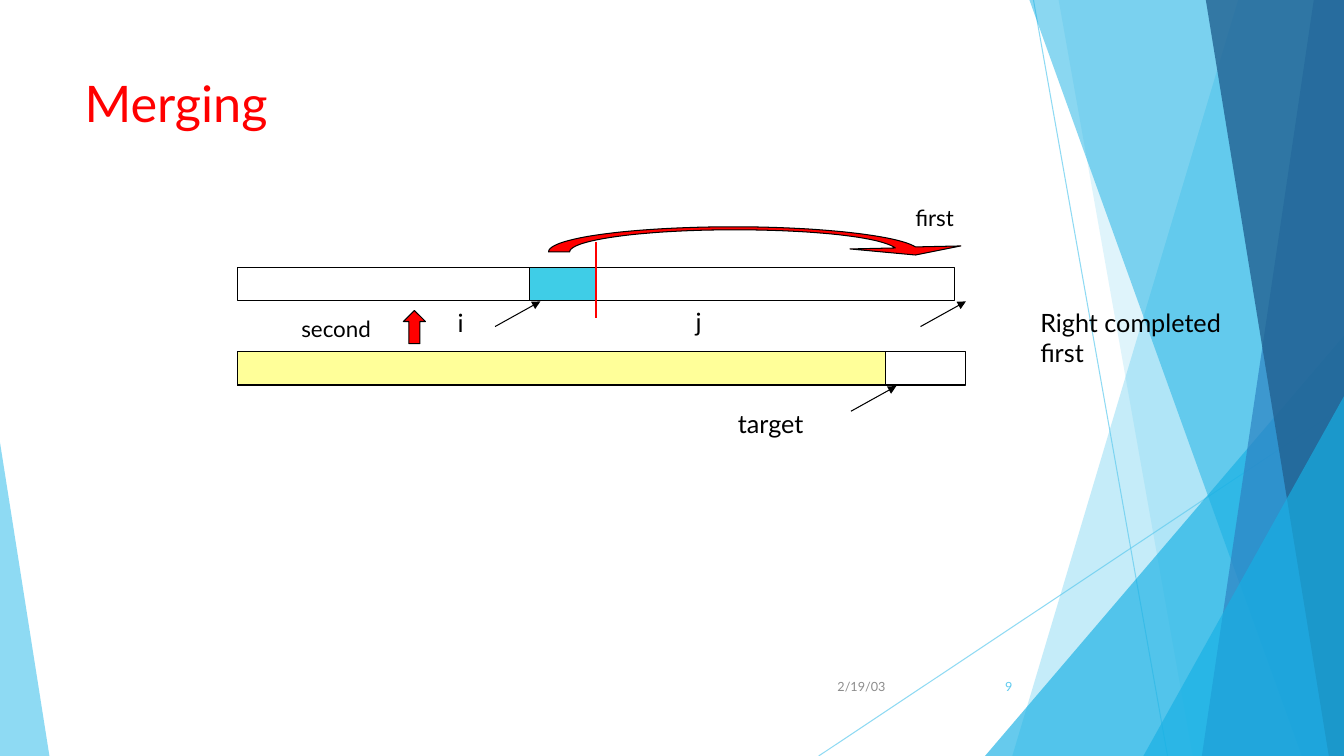
from lxml import etree
from pptx import Presentation, util as u
from pptx.dml.color import RGBColor
from pptx.enum import shapes, text
from pptx.oxml.ns import qn

BLACK = RGBColor(0x00, 0x00, 0x00)
RED = RGBColor(0xFF, 0x00, 0x00)
GREY = RGBColor(0x8C, 0x8C, 0x8C)
SKY = RGBColor(0x5F, 0xCB, 0xEF)
AZURE = RGBColor(0x17, 0xB0, 0xE4)
BLUE = RGBColor(0x2E, 0x83, 0xC3)
NAVY = RGBColor(0x22, 0x62, 0x92)
CYAN = RGBColor(0x3F, 0xCD, 0xE7)
YELLOW = RGBColor(0xFF, 0xFF, 0x99)

COLS, ROWS = 13.33, 7.5
KIND = shapes.MSO_SHAPE


def curve(a, b, c, d, steps=24):
    pts = []
    for n in range(1, steps + 1):
        t = n / steps
        s = 1 - t
        pts.append(tuple(s**3 * p + 3 * s * s * t * q + 3 * s * t * t * r + t**3 * v
                         for p, q, r, v in zip(a, b, c, d)))
    return pts


class Board:
    font = "Lato"
    cell = u.Inches(1)

    def __init__(self):
        self.deck = Presentation()
        self.deck.slide_width = self.grid(COLS)
        self.deck.slide_height = self.grid(ROWS)
        self.slide = self.deck.slides.add_slide(self.deck.slide_layouts[6])
        self.items = self.slide.shapes

    def grid(self, size):
        return u.Emu(round(size * self.cell))

    def fade(self, node, share):
        tint = next(node.iter(qn("a:srgbClr")))
        etree.SubElement(tint, qn("a:alpha"), val=str(share * 1000))

    def paint(self, item, fill, edge, share=100):
        item.shadow.inherit = False
        if fill is None:
            item.fill.background()
        else:
            item.fill.solid()
            item.fill.fore_color.rgb = fill
            if share < 100:
                self.fade(item._element.spPr.find(qn("a:solidFill")), share)
        if edge is None:
            item.line.fill.background()
        else:
            item.line.color.rgb = edge
            item.line.width = u.Pt(0.75)

    def shape(self, kind, box, fill=None, edge=BLACK, share=100, bend=()):
        item = self.items.add_shape(kind, *map(self.grid, box))
        for n, value in enumerate(bend):
            item.adjustments[n] = value
        self.paint(item, fill, edge, share)

    def outline(self, points, fill, edge=None, share=100):
        pts = [(self.grid(x), self.grid(y)) for x, y in points]
        pen = self.items.build_freeform(*pts[0])
        pen.add_line_segments(pts[1:], close=True)
        self.paint(pen.convert_to_shape(), fill, edge, share)

    def line(self, start, end, color=BLACK, width=0.75, share=100, arrow=False):
        item = self.items.add_connector(
            shapes.MSO_CONNECTOR.STRAIGHT, *map(self.grid, start + end))
        item.line.color.rgb = color
        item.line.width = u.Pt(width)
        props = item._element.spPr
        edge = props.find(qn("a:ln"))
        if share < 100:
            self.fade(edge, share)
        if arrow:
            etree.SubElement(edge, qn("a:tailEnd"), type="triangle")
        etree.SubElement(props, qn("a:effectLst"))

    def label(self, words, box, size=18, color=BLACK, right=False, wrap=False):
        frame = self.items.add_textbox(*map(self.grid, box)).text_frame
        frame.word_wrap = wrap
        if right:
            frame.vertical_anchor = text.MSO_ANCHOR.MIDDLE
        frame.text = words
        for para in frame.paragraphs:
            para.alignment = text.PP_ALIGN.RIGHT if right else text.PP_ALIGN.LEFT
            for run in para.runs:
                run.font.name = self.font
                run.font.size = u.Pt(size)
                run.font.color.rgb = color


def facets(board):
    board.line((10.25, 0), (11.58, ROWS), SKY, share=70)
    board.line((COLS, 4.03), (8.12, ROWS), SKY, share=70)

    def band(top, base, fill, share):
        board.outline([(top, 0), (COLS, 0), (COLS, ROWS), (base, ROWS)], fill, share=share)

    def wedge(left, top, width, fill, share, peak):
        board.shape(KIND.ISOSCELES_TRIANGLE, (left, top, width, ROWS - top),
                    fill, None, share, [peak])

    band(12.28, 10.04, SKY, 36)
    band(10.5, 11.83, SKY, 20)
    wedge(9.77, 3.33, 3.56, AZURE, 66, 1)
    band(10.21, 12.91, AZURE, 50)
    band(13.03, 11.92, BLUE, 70)
    band(11.96, 13.18, NAVY, 80)
    wedge(11.34, 3.93, 1.99, AZURE, 66, 1)
    wedge(0, 4.39, 0.49, SKY, 70, 0)


def arrays(board):
    left, mid, half, tall = 2.36, 5.91, 3.56, 0.33
    upper, lower = 2.65, 3.49
    for x, y, wide, fill in [
        (left, upper, half, None),
        (mid, upper, half, None),
        (left, lower, 7.22, None),
        (5.25, upper, 0.67, CYAN),
        (left, lower, 6.42, YELLOW),
    ]:
        board.shape(KIND.RECTANGLE, (x, y, wide, tall), fill)
    board.line((mid, 2.4), (mid, 3.15), RED, 1.5)
    for x, y in [(4.91, 3.24), (8.44, 4.08), (9.13, 3.24)]:
        board.line((x, y), (x + 0.45, y - 0.25), arrow=True)
    board.shape(KIND.UP_ARROW, (4, 3.08, 0.22, tall), RED)


def sweep(board):
    neck, crest, foot = (8.88, 2.46), (7.28, 2.28), (5.65, 2.5)
    heel, top, tip = (5.44, 2.5), (7.28, 2.25), (9.08, 2.45)
    board.outline(
        [neck]
        + curve(neck, (8.73, 2.35), (8.06, 2.28), crest)
        + curve(crest, (6.38, 2.28), (5.65, 2.38), foot)
        + [heel]
        + curve(heel, (5.44, 2.36), (6.27, 2.25), top)
        + curve(top, (8.16, 2.25), (8.91, 2.34), tip)
        + [(9.53, 2.44), (9.08, 2.53), (8.43, 2.47)],
        RED, BLACK)


def labels(board):
    board.label("2/19/03", (7.88, 6.61, 1, 0.4), 9, GREY, right=True, wrap=True)
    board.label("9", (9.39, 6.61, 0.75, 0.4), 9, SKY, right=True, wrap=True)
    board.label("Merging", (0.74, 0.67, 9.4, 1.44), 36, RED, wrap=True)
    board.label("i", (4.44, 3, 0.27, 0.4))
    board.label("j", (6.8, 2.99, 0.29, 0.4))
    board.label("target", (7.22, 4, 0.9, 0.4))
    board.label("Right completed\nfirst", (10.22, 3, 2.06, 1.01))
    board.label("first", (8.98, 1.98, 0.62, 0.37), 16)
    board.label("second", (2.89, 3.08, 0.89, 0.37), 16)


def main():
    board = Board()
    for part in (facets, arrays, sweep, labels):
        part(board)
    board.deck.save("out.pptx")


if __name__ == "__main__":
    main()
